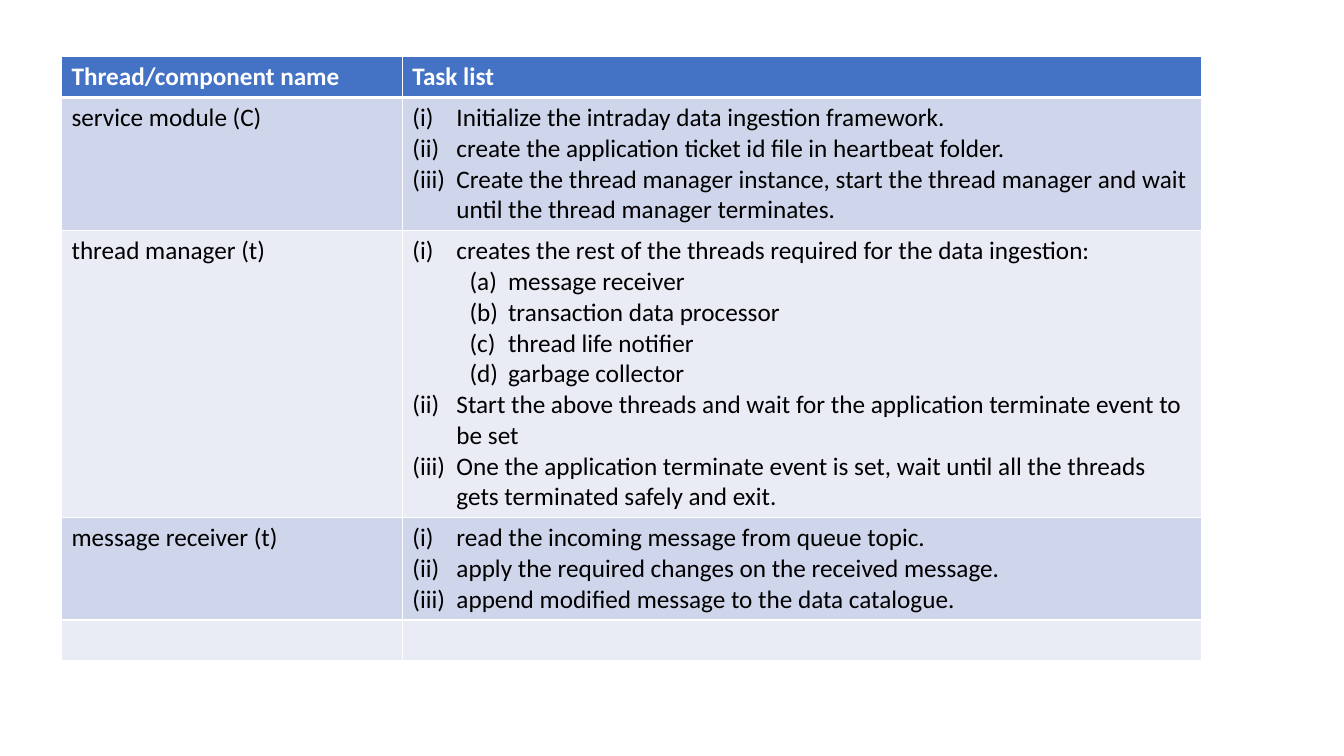
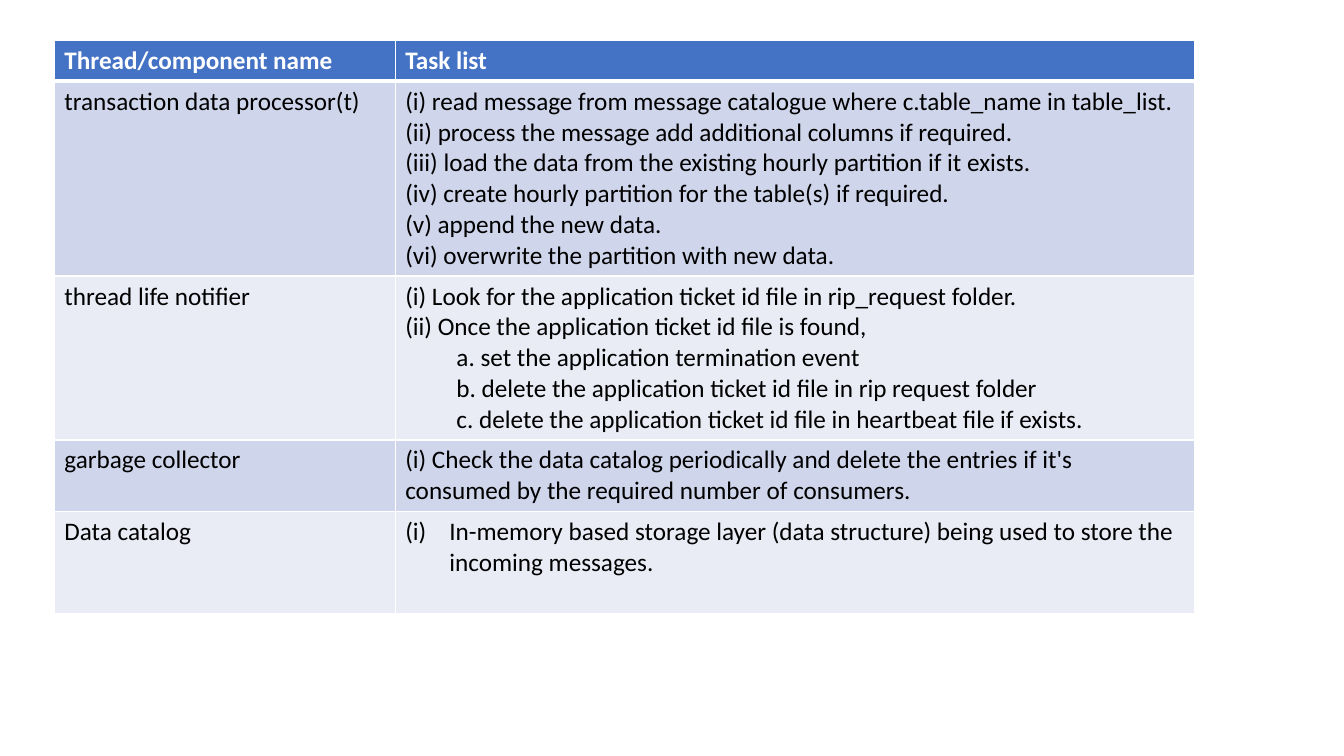
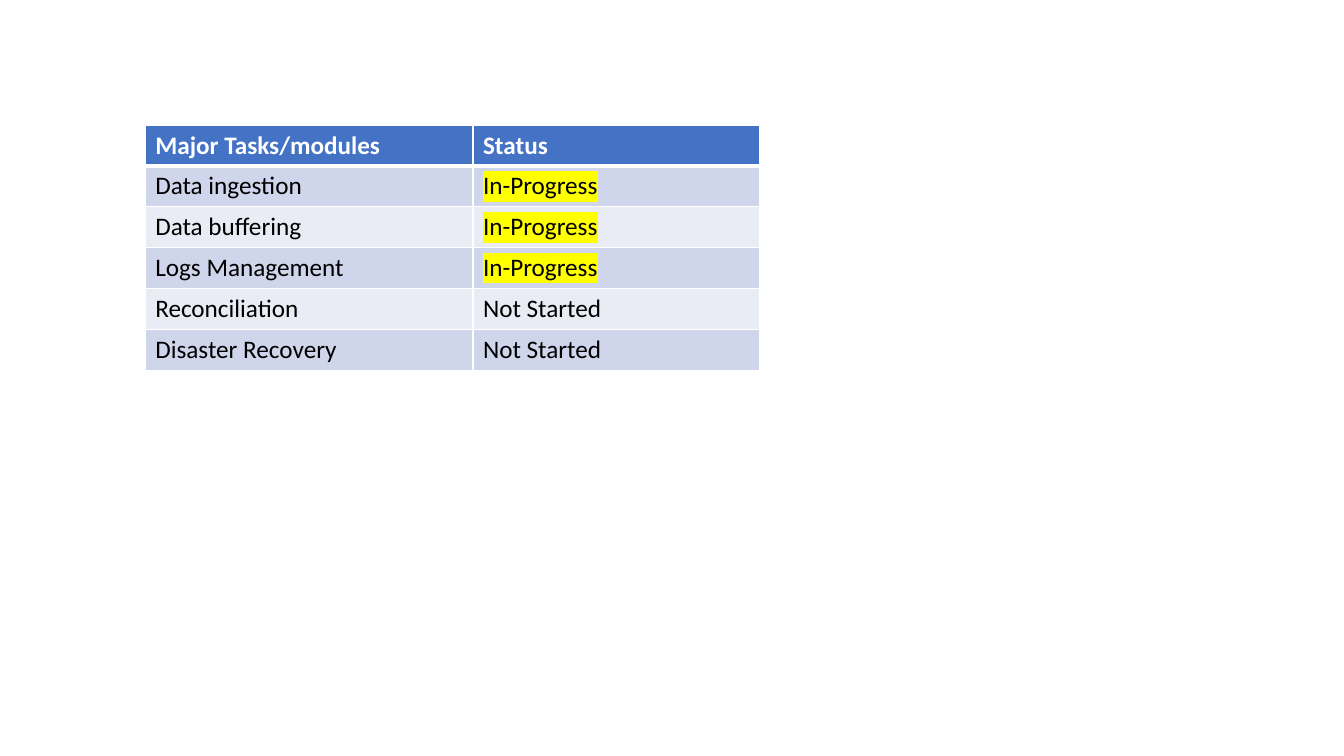
import lxml.etree
import pptx
import pptx.dml.color
import pptx.oxml.ns
import pptx.util

Cm = pptx.util.Cm
qn = pptx.oxml.ns.qn

COLOURS = {
    "header": "4472C4",
    "band_dark": "CFD5EA",
    "band_light": "E9EBF5",
    "rule": "FFFFFF",
    "header_text": "FFFFFF",
    "body_text": "000000",
    "highlight": "FFFF00",
}
FONT = {"name": "Calibri", "size": pptx.util.Pt(18)}
LINE_HEIGHT, ROW_PADDING = 0.775, 0.25
THIN, THICK = 1, 3
BLANK_LAYOUT = 6

# Left margin and first-line indent in cm, then the automatic numbering
PARA_STYLES = {
    "plain": (0, 0, {}),
    "inset": (1.29, 0, {}),
    "roman": (1.11, -1.11, {"type": "romanLcParenBoth"}),
    "resumed": (1.11, -1.11, {"type": "romanLcParenBoth", "startAt": "2"}),
    "letter": (2.41, -0.97, {"type": "alphaLcParenBoth"}),
}

THREAD_HEADINGS = ("Thread/component name", "Task list")
THREAD_WIDTHS = (8.59, 20.14)

# Each row: name, lines of height, blocks of (paragraph style, texts)
CORE_THREADS = [
    ("service module (C)", 4, [("roman", [
        "Initialize the intraday data ingestion framework.",
        "create the application ticket id file in heartbeat folder.",
        "Create the thread manager instance, start the thread manager and wait "
        "until the thread manager terminates."])]),
    ("thread manager (t)", 9, [
        ("roman", ["creates the rest of the threads required for the data ingestion:"]),
        ("letter", ["message receiver", "transaction data processor",
                    "thread life notifier", "garbage collector"]),
        ("resumed", [
            "Start the above threads and wait for the application terminate event to be set",
            "One the application terminate event is set, wait until all the threads "
            "gets terminated safely and exit."])]),
    ("message receiver (t)", 3, [("roman", [
        "read the incoming message from queue topic.",
        "apply the required changes on the received message.",
        "append modified message to the data catalogue."])]),
    ("", 1, []),
]
DATA_THREADS = [
    ("transaction data processor(t)", 6, [("plain", [
        "(i) read message from message catalogue where c.table_name in table_list.",
        "(ii) process the message add additional columns if required.",
        "(iii) load the data from the existing hourly partition if it exists.",
        "(iv) create hourly partition for the table(s) if required.",
        "(v) append the new data.",
        "(vi) overwrite the partition with new data."])]),
    ("thread life notifier", 5, [
        ("plain", ["(i) Look for the application ticket id file in rip_request folder.",
                   "(ii) Once the application ticket id file is found,"]),
        ("inset", ["a. set the application termination event",
                   "b. delete the application ticket id file in rip request folder",
                   "c. delete the application ticket id file in heartbeat file if exists."])]),
    ("garbage collector", 2, [("plain", [
        "(i) Check the data catalog periodically and delete the entries if it's "
        "consumed by the required number of consumers."])]),
    ("Data catalog", 3, [("roman", [
        "In-memory based storage layer (data structure) being used to store the "
        "incoming messages."])]),
]
MODULE_STATUS = [
    ("Data ingestion", "In-Progress"),
    ("Data buffering", "In-Progress"),
    ("Logs Management", "In-Progress"),
    ("Reconciliation", "Not Started"),
    ("Disaster Recovery", "Not Started"),
]


def add_span(para, text, colour, bold=False, highlight=False):
    """Add one formatted run to a paragraph."""
    span = para.add_run()
    span.text = text
    for name, value in {**FONT, "bold": bold}.items():
        setattr(span.font, name, value)
    span.font.color.rgb = pptx.dml.color.RGBColor.from_string(COLOURS[colour])
    if highlight:
        mark = lxml.etree.Element(qn("a:highlight"))
        lxml.etree.SubElement(mark, qn("a:srgbClr"), val=COLOURS["highlight"])
        span.font._element.find(qn("a:solidFill")).addnext(mark)


def style_para(para, style):
    """Set the indents and automatic numbering of a paragraph."""
    margin, indent, numbering = PARA_STYLES[style]
    properties = para._p.get_or_add_pPr()
    for name, value in {"marL": margin, "indent": indent}.items():
        properties.set(name, str(int(Cm(value))))
    if numbering:
        lxml.etree.SubElement(properties, qn("a:buAutoNum"), numbering)


def style_cell(cell, fill, top, bottom):
    """Give a cell its fill and white borders, widths in points."""
    properties = cell._tc.get_or_add_tcPr()
    for side, width in {"L": THIN, "R": THIN, "T": top, "B": bottom}.items():
        border = lxml.etree.SubElement(properties, qn("a:ln" + side),
                                       w=str(int(pptx.util.Pt(width))))
        solid = lxml.etree.SubElement(border, qn("a:solidFill"))
        lxml.etree.SubElement(solid, qn("a:srgbClr"), val=COLOURS["rule"])
    cell.fill.solid()
    cell.fill.fore_color.rgb = pptx.dml.color.RGBColor.from_string(COLOURS[fill])


def fill_cell(cell, blocks, colour="body_text", **emphasis):
    """Write blocks of styled paragraphs into a cell."""
    lines = [(style, text) for style, texts in blocks for text in texts if text]
    for index, (style, text) in enumerate(lines):
        frame = cell.text_frame
        para = frame.add_paragraph() if index else frame.paragraphs[0]
        style_para(para, style)
        add_span(para, text, colour, **emphasis)


def add_banded_table(page, left, top, widths, headings, line_counts):
    """Place a banded table with its header filled in, and return it."""
    heights = [ROW_PADDING + LINE_HEIGHT * count for count in (1, *line_counts)]
    table = page.shapes.add_table(len(heights), len(widths), Cm(left), Cm(top),
                                  Cm(sum(widths)), Cm(sum(heights))).table
    for column, width in zip(table.columns, widths):
        column.width = Cm(width)
    for index, (row, height) in enumerate(zip(table.rows, heights)):
        row.height = Cm(height)
        fill = "band_dark" if index % 2 else "band_light"
        for cell in row.cells:
            style_cell(cell, fill if index else "header",
                       THICK if index == 1 else THIN, THIN if index else THICK)
    for cell, heading in zip(table.rows[0].cells, headings):
        fill_cell(cell, [("plain", [heading])], "header_text", bold=True)
    return table


def add_thread_page(deck, left, top, threads):
    """Add a slide that lists the tasks of each thread."""
    page = deck.slides.add_slide(deck.slide_layouts[BLANK_LAYOUT])
    table = add_banded_table(page, left, top, THREAD_WIDTHS, THREAD_HEADINGS,
                             [lines for _, lines, _ in threads])
    for index, (name, _, tasks) in enumerate(threads, 1):
        fill_cell(table.cell(index, 0), [("plain", [name])])
        fill_cell(table.cell(index, 1), tasks)


def add_status_page(deck, left, top, modules):
    """Add a slide with the status of each module."""
    page = deck.slides.add_slide(deck.slide_layouts[BLANK_LAYOUT])
    table = add_banded_table(page, left, top, (8.26, 7.21),
                             ("Major Tasks/modules", "Status"), [1] * len(modules))
    for index, (module, status) in enumerate(modules, 1):
        fill_cell(table.cell(index, 0), [("plain", [module])])
        fill_cell(table.cell(index, 1), [("plain", [status])],
                  highlight=status == "In-Progress")


def main():
    """Build and save the deck."""
    deck = pptx.Presentation()
    for name, value in {"slide_width": 33.87, "slide_height": 19.05}.items():
        setattr(deck, name, Cm(value))
    add_thread_page(deck, 1.55, 1.43, CORE_THREADS)
    add_thread_page(deck, 1.37, 1.02, DATA_THREADS)
    add_status_page(deck, 3.66, 3.15, MODULE_STATUS)
    deck.save("out.pptx")


main()
